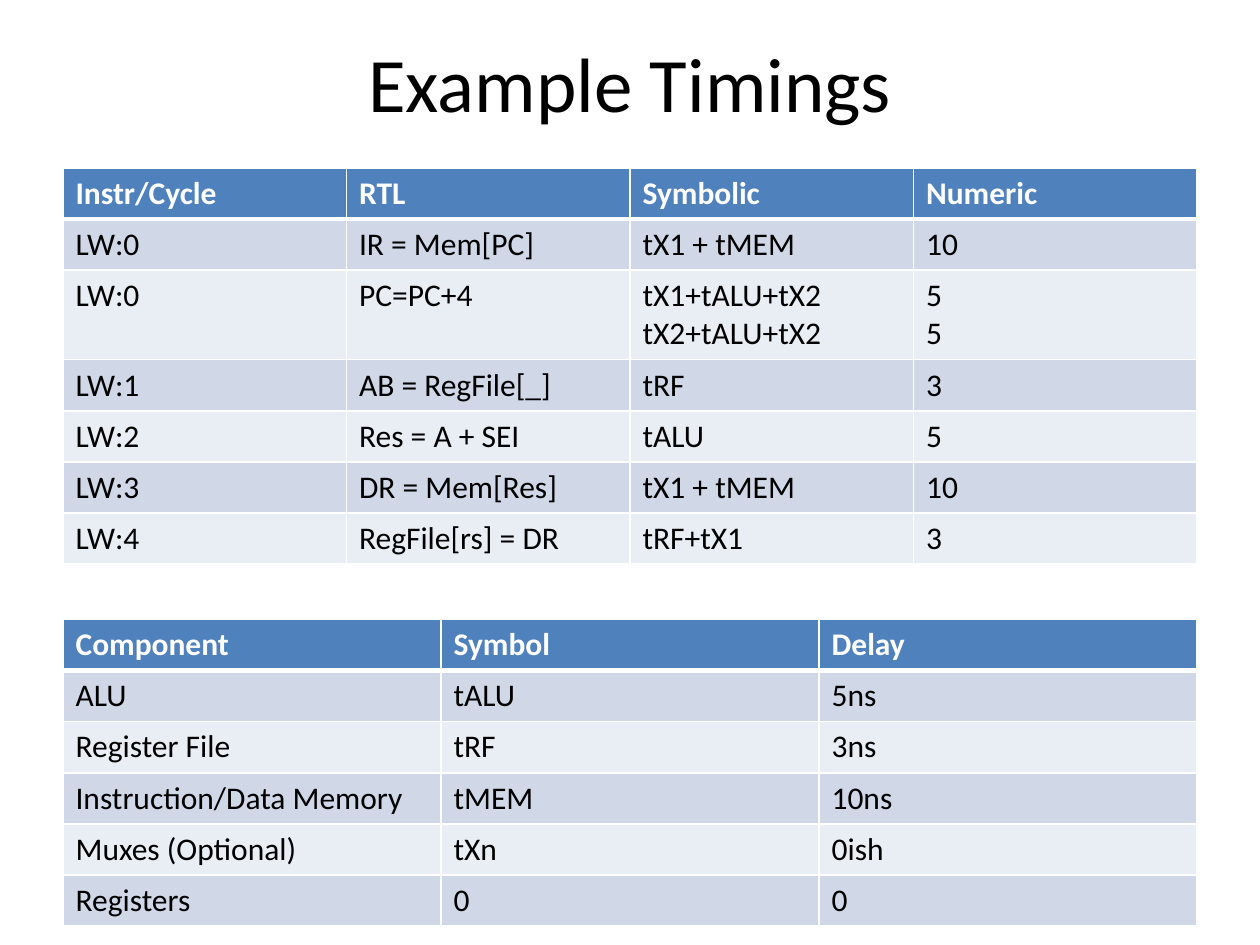
from lxml import etree
from pptx import Presentation
from pptx.dml import color
from pptx.enum import text
from pptx.oxml import ns
from pptx.util import Pt

FONT = "Calibri"
WHITE, BLACK = "FFFFFF", "000000"
HEADER_FILL = "4F81BD"
BAND_FILLS = ("D0D8E8", "E9EDF4")
LEFT, TABLE_WIDTH, ROW_HEIGHT = 36, 648, 29.2

CYCLE_ROWS = [
    ("Instr/Cycle", "RTL", "Symbolic", "Numeric"),
    ("LW:0", "IR = Mem[PC]", "tX1 + tMEM", "10"),
    ("LW:0", "PC=PC+4", "tX1+tALU+tX2\ntX2+tALU+tX2", "5\n5"),
    ("LW:1", "AB = RegFile[_]", "tRF", "3"),
    ("LW:2", "Res = A + SEI", "tALU", "5"),
    ("LW:3", "DR = Mem[Res]", "tX1 + tMEM", "10"),
    ("LW:4", "RegFile[rs] = DR", "tRF+tX1", "3"),
]
COMPONENT_ROWS = [
    ("Component", "Symbol", "Delay"),
    ("ALU", "tALU", "5ns"),
    ("Register File", "tRF", "3ns"),
    ("Instruction/Data Memory", "tMEM", "10ns"),
    ("Muxes (Optional)", "tXn", "0ish"),
    ("Registers", "0", "0"),
]


def set_color(target, value):
    target.rgb = color.RGBColor.from_string(value)


def add_run(paragraph, content, size, value, bold=False):
    run = paragraph.add_run()
    run.text = content
    run.font.name = FONT
    run.font.size = Pt(size)
    run.font.bold = bold
    set_color(run.font.color, value)


def add_title(slide, content):
    title = slide.shapes.title
    title.left, title.top, title.width, title.height = Pt(36), Pt(1.5), Pt(648), Pt(90)
    frame = title.text_frame
    frame.word_wrap = True
    frame.vertical_anchor = text.MSO_ANCHOR.MIDDLE
    paragraph = frame.paragraphs[0]
    paragraph.alignment = text.PP_ALIGN.CENTER
    add_run(paragraph, content, 44, BLACK)


def set_borders(cell, top, bottom):
    properties = cell._tc.get_or_add_tcPr()
    for tag, width in (("a:lnL", 1), ("a:lnR", 1), ("a:lnT", top), ("a:lnB", bottom)):
        line = etree.SubElement(properties, ns.qn(tag), w=str(Pt(width)))
        fill = etree.SubElement(line, ns.qn("a:solidFill"))
        etree.SubElement(fill, ns.qn("a:srgbClr"), val=WHITE)


def fill_cell(cell, content, row_index):
    header = row_index == 0
    set_borders(cell, 3 if row_index == 1 else 1, 3 if header else 1)
    cell.fill.solid()
    set_color(cell.fill.fore_color, HEADER_FILL if header else BAND_FILLS[(row_index - 1) % 2])
    frame = cell.text_frame
    for index, line in enumerate(content.split("\n")):
        paragraph = frame.add_paragraph() if index else frame.paragraphs[0]
        add_run(paragraph, line, 18, WHITE if header else BLACK, header)


def add_table(slide, rows, top):
    column_count = len(rows[0])
    table = slide.shapes.add_table(
        len(rows), column_count, Pt(LEFT), Pt(top),
        Pt(TABLE_WIDTH), Pt(ROW_HEIGHT * len(rows)),
    ).table
    for column in table.columns:
        column.width = Pt(TABLE_WIDTH / column_count)
    for row_index, values in enumerate(rows):
        table.rows[row_index].height = Pt(ROW_HEIGHT)
        for column_index, content in enumerate(values):
            fill_cell(table.cell(row_index, column_index), content, row_index)


def main():
    presentation = Presentation()
    presentation.slide_width, presentation.slide_height = Pt(720), Pt(540)
    slide = presentation.slides.add_slide(presentation.slide_layouts[5])
    add_title(slide, "Example Timings")
    add_table(slide, CYCLE_ROWS, 96)
    add_table(slide, COMPONENT_ROWS, 354)
    presentation.save("out.pptx")


main()
